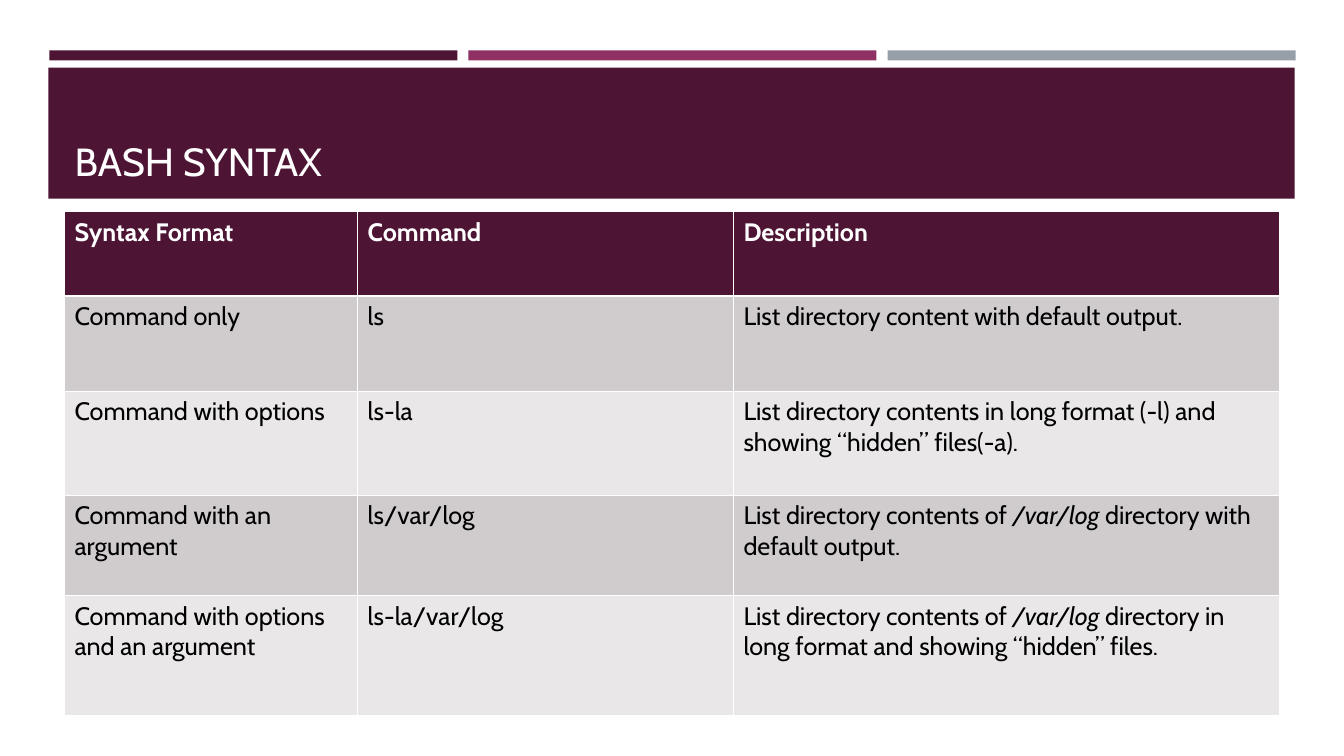
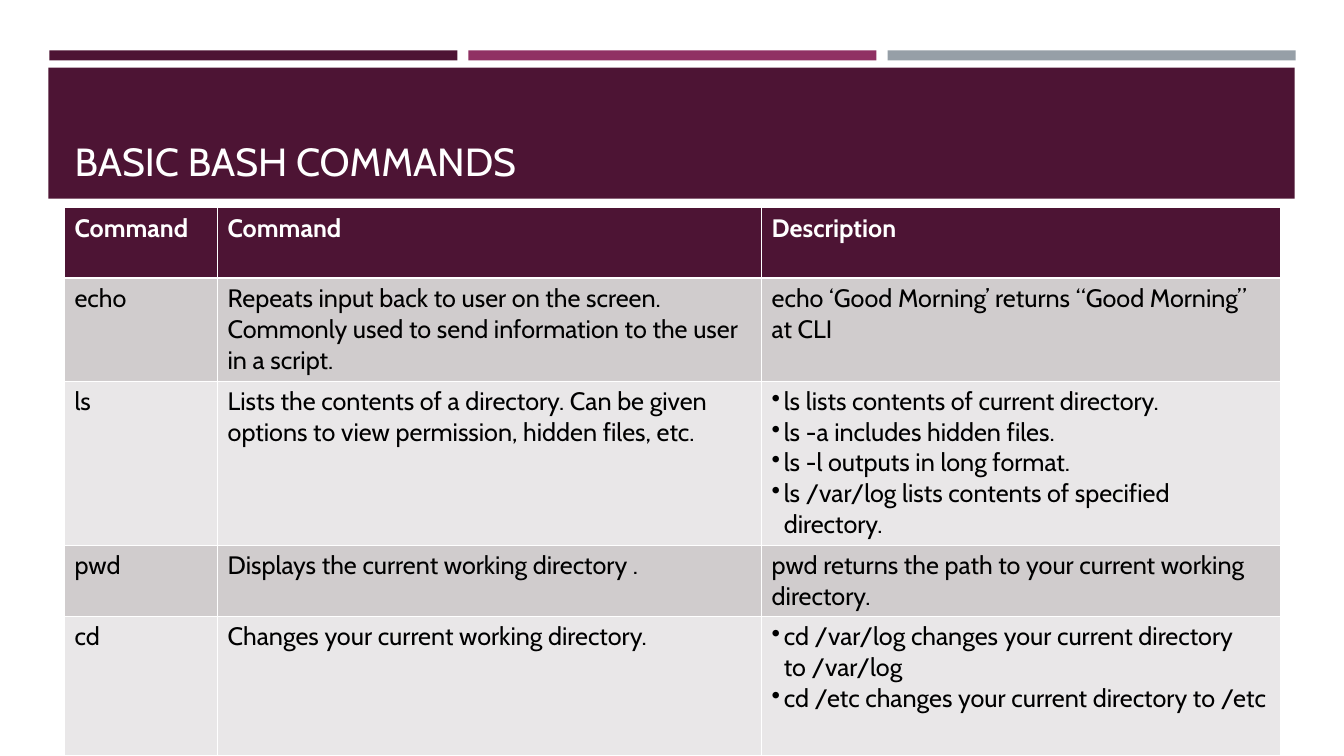
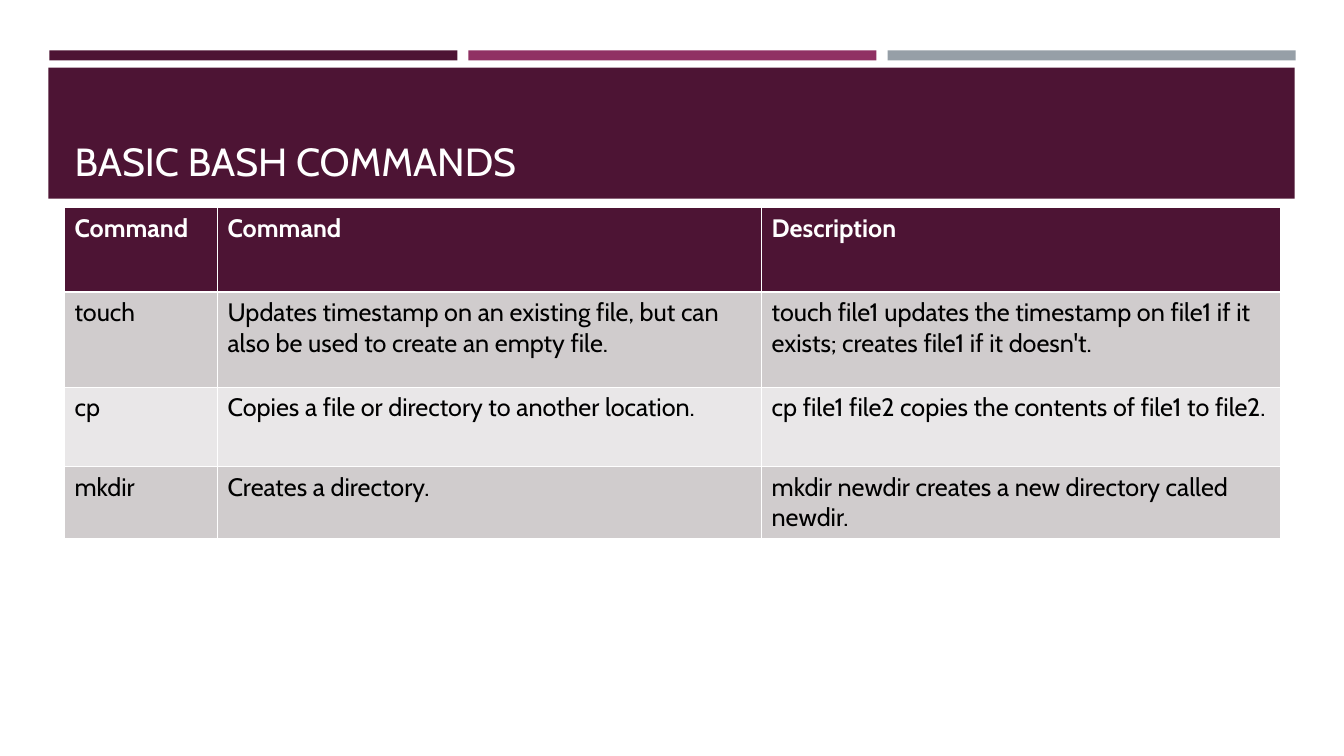
"""Build three slides of Bash syntax and command tables."""
from lxml import etree
from pptx import Presentation
from pptx.dml.color import RGBColor
from pptx.enum.shapes import MSO_SHAPE
from pptx.enum.text import MSO_ANCHOR, MSO_AUTO_SIZE, PP_ALIGN
from pptx.oxml.ns import qn
from pptx.util import Inches, Pt

RECTANGLE = MSO_SHAPE.RECTANGLE
BOTTOM = MSO_ANCHOR.BOTTOM
NO_AUTOFIT = MSO_AUTO_SIZE.NONE
LEFT = PP_ALIGN.LEFT

FONT = "Cabin"
PLUM, MAGENTA, GRAY = "4D1434", "903163", "969FA7"
WHITE, BLACK = "FFFFFF", "000000"
ROW_FILLS = ["D0CCCD", "E9E7E8"]

SLIDE_WIDTH, SLIDE_HEIGHT = 13.34, 7.5
TITLE_LAYOUT = 5
CONTENT_LEFT, CONTENT_WIDTH = 0.64, 12.06
STRIPE_LEFT, STRIPE_TOP, STRIPE_WIDTH, STRIPE_HEIGHT = 0.49, 0.5, 4.05, 0.1
STRIPE_STEP = 4.16
BANNER = (0.48, 0.67, 12.37, 1.3)
TITLE_BOX = (CONTENT_LEFT, 0.77, CONTENT_WIDTH, 1.11)
BULLET_INDENT = 0.12
THIN, THICK = 0.45, 1.47

COMMAND_COLUMNS = [1.52, 5.4, 5.15]
COMMAND_HEADER = ["Command", "Command", "Description"]

SLIDES = [
    {
        "title": "BASH SYNTAX",
        "top": 2.1,
        "columns": [2.91, 3.73, 5.42],
        "heights": [0.84, 0.94, 1.03, 1, 1.19],
        "rows": [
            ["Syntax Format", "Command", "Description"],
            ["Command only", "ls", "List directory content with default output."],
            ["Command with options", "ls-la",
             "List directory contents in long format (-l) and showing “hidden” files(-a)."],
            ["Command with an argument", "ls/var/log",
             "List directory contents of */var/log *directory with default output."],
            ["Command with options and an argument", "ls-la/var/log",
             "List directory contents of */var/log *directory in long format "
             "and showing “hidden” files."],
        ],
    },
    {
        "title": "BASIC BASH COMMANDS",
        "top": 2.06,
        "columns": COMMAND_COLUMNS,
        "heights": [0.7, 1.02, 1.62, 0.71, 1.38],
        "rows": [
            COMMAND_HEADER,
            ["echo",
             "Repeats input back to user on the screen. Commonly used to send "
             "information to the user in a script.",
             "echo ‘Good Morning’ returns “Good Morning” at CLI"],
            ["ls",
             "Lists the contents of a directory. Can be given options to view "
             "permission, hidden files, etc.",
             ["ls lists contents of current directory.",
              "ls -a includes hidden files.",
              "ls -l outputs in long format.",
              "ls /var/log lists contents of specified directory."]],
            ["pwd", "Displays the current working directory .",
             "pwd returns the path to your current working directory."],
            ["cd", "Changes your current working directory.",
             ["cd /var/log changes your current directory\nto /var/log",
              "cd /etc changes your current directory to /etc"]],
        ],
    },
    {
        "title": "BASIC BASH COMMANDS",
        "top": 2.06,
        "columns": COMMAND_COLUMNS,
        "heights": [0.84, 0.94, 0.79, 0.7],
        "rows": [
            COMMAND_HEADER,
            ["touch",
             "Updates timestamp on an existing file, but can also be used to "
             "create an empty file.",
             "touch file1 updates the timestamp on file1 if it exists; "
             "creates file1 if it doesn't."],
            ["cp", "Copies a file or directory to another location.",
             "cp file1 file2 copies the contents of file1 to file2."],
            ["mkdir", "Creates a directory.",
             "mkdir newdir creates a new directory called newdir."],
        ],
    },
]


def color(hex_value):
    return RGBColor.from_string(hex_value)


def box(*lengths):
    return [Inches(length) for length in lengths]


def add_run(paragraph, text, size, hex_value, bold=False, italic=False):
    run = paragraph.add_run()
    run.text = text
    font = run.font
    font.name, font.size, font.bold, font.italic = FONT, Pt(size), bold, italic
    font.color.rgb = color(hex_value)


def add_band(slide, position, fill):
    shape = slide.shapes.add_shape(RECTANGLE, *box(*position))
    shape.shadow.inherit = False
    shape.fill.solid()
    shape.fill.fore_color.rgb = color(fill)
    shape.line.fill.background()
    return shape


def decorate_layout(layout, slide):
    """Draw the bands on a slide and move them to its layout, shared by all slides."""
    for placeholder in list(layout.placeholders)[1:]:
        placeholder.element.getparent().remove(placeholder.element)
    bands = [
        add_band(slide, (STRIPE_LEFT + index * STRIPE_STEP, STRIPE_TOP,
                         STRIPE_WIDTH, STRIPE_HEIGHT), fill)
        for index, fill in enumerate([PLUM, MAGENTA, GRAY])
    ]
    bands.append(add_band(slide, BANNER, PLUM))
    title = layout.placeholders[0].element
    for band in bands:
        title.addprevious(band.element)


def set_title(slide, text):
    title = slide.shapes.title
    title.left, title.top, title.width, title.height = box(*TITLE_BOX)
    frame = title.text_frame
    frame.word_wrap, frame.auto_size, frame.vertical_anchor = True, NO_AUTOFIT, BOTTOM
    paragraph = frame.paragraphs[0]
    paragraph.alignment = LEFT
    add_run(paragraph, text, 28, WHITE)


def set_bullet(paragraph):
    properties = paragraph._p.get_or_add_pPr()
    properties.set("marL", str(Inches(BULLET_INDENT)))
    properties.set("indent", str(-Inches(BULLET_INDENT)))
    etree.SubElement(properties, qn("a:buChar"), char="•")


def set_borders(cell, top, bottom):
    properties = cell._tc.get_or_add_tcPr()
    sides = [("a:lnL", THIN), ("a:lnR", THIN), ("a:lnT", top), ("a:lnB", bottom)]
    for index, (tag, width) in enumerate(sides):
        line = etree.Element(qn(tag), w=str(Pt(width)))
        fill = etree.SubElement(line, qn("a:solidFill"))
        etree.SubElement(fill, qn("a:srgbClr"), val=WHITE)
        properties.insert(index, line)


def fill_cell(cell, content, is_header):
    """Write plain text, or a list as bullets; text between asterisks is italic."""
    bulleted = isinstance(content, list)
    frame = cell.text_frame
    for index, text in enumerate(content if bulleted else [content]):
        paragraph = frame.add_paragraph() if index else frame.paragraphs[0]
        if bulleted:
            set_bullet(paragraph)
        for line_number, line in enumerate(text.split("\n")):
            if line_number:
                paragraph.add_line_break()
            for part_number, part in enumerate(line.split("*")):
                add_run(paragraph, part, 18, WHITE if is_header else BLACK,
                        is_header, part_number % 2 == 1)


def add_grid(slide, content):
    rows, columns, heights = content["rows"], content["columns"], content["heights"]
    position = box(CONTENT_LEFT, content["top"], CONTENT_WIDTH, sum(heights))
    table = slide.shapes.add_table(len(rows), len(columns), *position).table
    table.horz_banding = False
    for column, width in zip(table.columns, columns):
        column.width = Inches(width)
    for row_index, (row, height) in enumerate(zip(table.rows, heights)):
        row.height = Inches(height)
        is_header = row_index == 0
        fill = PLUM if is_header else ROW_FILLS[(row_index - 1) % 2]
        for cell, text in zip(row.cells, rows[row_index]):
            cell.fill.solid()
            cell.fill.fore_color.rgb = color(fill)
            set_borders(cell, THICK if row_index == 1 else THIN,
                        THICK if is_header else THIN)
            fill_cell(cell, text, is_header)


def main():
    presentation = Presentation()
    presentation.slide_width, presentation.slide_height = box(SLIDE_WIDTH, SLIDE_HEIGHT)
    layout = presentation.slide_layouts[TITLE_LAYOUT]
    for index, content in enumerate(SLIDES):
        slide = presentation.slides.add_slide(layout)
        if index == 0:
            decorate_layout(layout, slide)
        set_title(slide, content["title"])
        add_grid(slide, content)
    presentation.save("out.pptx")


if __name__ == "__main__":
    main()
